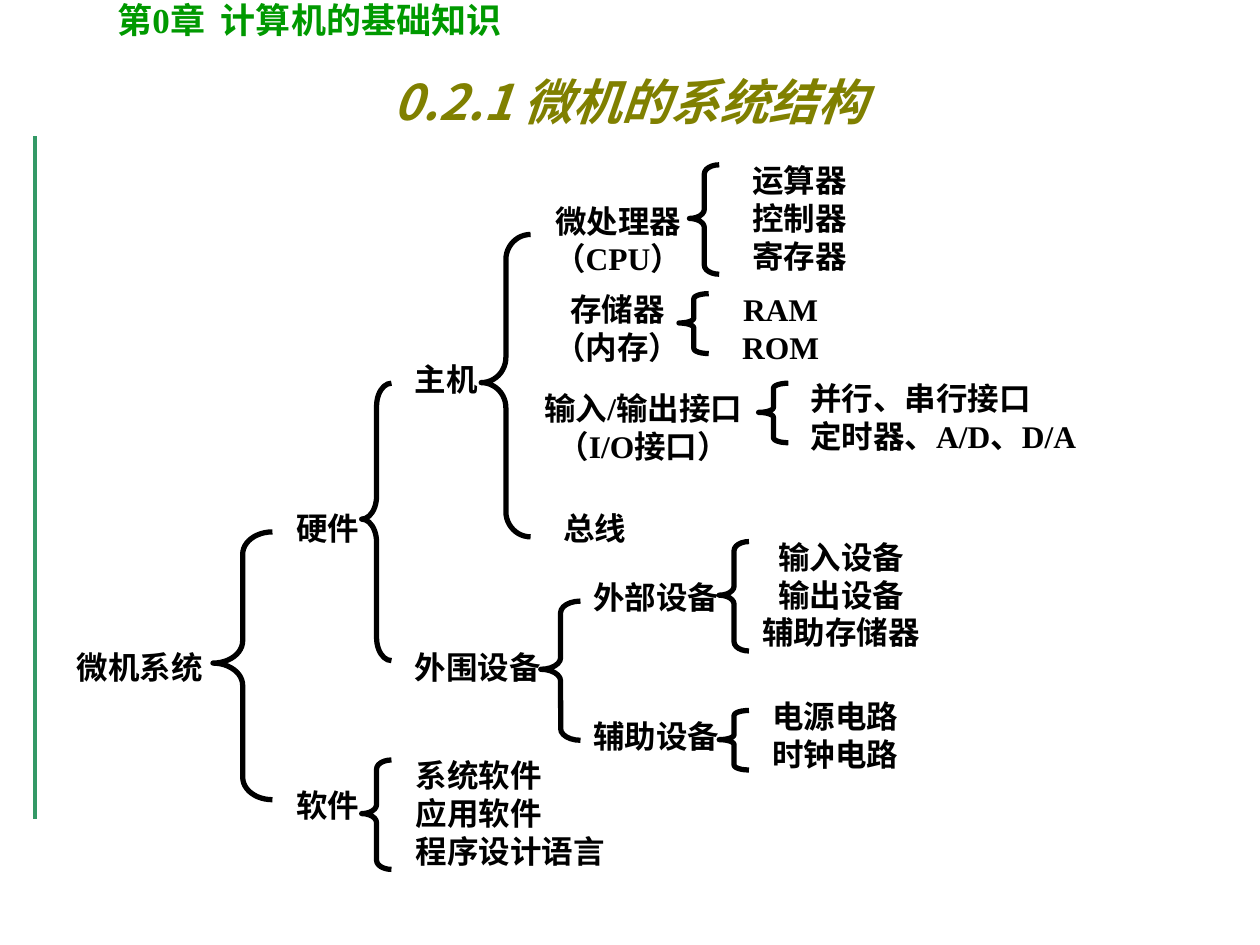
from pptx import Presentation
from pptx import util as u
from pptx.dml.color import RGBColor
from pptx.enum import shapes, text
from pptx.oxml.ns import qn
from lxml import etree


def rgb(value):
    return RGBColor.from_string(value)


def add_text(box, lines, align="c", size=18, color="000000",
             font="Times New Roman", italic=None, wrap=False):
    tb = s.shapes.add_textbox(*[u.Pt(v) for v in box])
    tf = tb.text_frame
    tf.word_wrap = wrap
    tf.vertical_anchor = text.MSO_ANCHOR.MIDDLE
    for i, line in enumerate(lines):
        p = tf.paragraphs[0] if i == 0 else tf.add_paragraph()
        p.alignment = text.PP_ALIGN.CENTER if align == "c" else text.PP_ALIGN.LEFT
        r = p.add_run()
        r.text = line
        r.font.name = font
        r.font.size = u.Pt(size)
        r.font.bold = True
        r.font.italic = italic
        r.font.color.rgb = rgb(color)


prs = Presentation()
prs.slide_width = u.Pt(720)
prs.slide_height = u.Pt(540)
s = prs.slides.add_slide(prs.slide_layouts[6])

rule = s.shapes.add_connector(
    shapes.MSO_CONNECTOR.STRAIGHT, u.Pt(20), u.Pt(78), u.Pt(20), u.Pt(468))
rule.line.color.rgb = rgb("339966")
rule.line.width = u.Pt(2.25)
etree.SubElement(rule._element.spPr, qn("a:effectLst"))

add_text((60, -5, 414, 32), ["第0章  计算机的基础知识"], "l", 20, "009900", wrap=True)
add_text((54, 32, 612, 51), ["0.2.1 微机的系统结构"], size=28, color="808000",
         font="Noto Sans CJK SC", italic=True, wrap=True)

braces = [
    (121.7, 304, 34, 153),
    (206.7, 219, 17, 158.5),
    (275, 134, 28.2, 172.8),
    (394, 94.2, 17, 62.5),
    (388, 167.8, 17, 34.2),
    (206.7, 434.3, 17, 62.5),
    (433.5, 219, 17, 34),
    (309, 343.5, 22.7, 79.5),
    (411, 309.5, 17, 62.5),
    (411, 406, 17, 34),
]
for left, top, width, height in braces:
    sp = s.shapes.add_shape(
        shapes.MSO_SHAPE.LEFT_BRACE, u.Pt(left), u.Pt(top), u.Pt(width), u.Pt(height))
    sp.adjustments[0] = height / width / 12
    sp.adjustments[1] = 0.49
    sp.shadow.inherit = False
    sp.fill.background()
    sp.line.color.rgb = rgb("000000")
    sp.line.width = u.Pt(3)

labels = [
    (36.7, 366.5, 86.4, "c", ["微机系统"]),
    (162, 445.7, 50.4, "c", ["软件"]),
    (162, 287.3, 50.4, "c", ["硬件"]),
    (229.7, 202.3, 50.4, "c", ["主机"]),
    (229.7, 366.5, 86.4, "c", ["外围设备"]),
    (305.3, 111.6, 95.8, "c", ["微处理器", "（CPU）"]),
    (422.6, 88.6, 68.4, "c", ["运算器", "控制器", "寄存器"]),
    (309.6, 162, 86.4, "c", ["存储器", "（内存）"]),
    (416.9, 162, 58.3, "c", ["RAM", "ROM"]),
    (299.5, 218.9, 136.1, "c", ["输入/输出接口", "（I/O接口）"]),
    (455.8, 213.1, 179.3, "l", ["并行、串行接口", "定时器、A/D、D/A"]),
    (314.6, 287.3, 50.4, "c", ["总线"]),
    (230.4, 428.4, 122.4, "l", ["系统软件", "应用软件", "程序设计语言"]),
    (331.9, 326.9, 86.4, "c", ["外部设备"]),
    (331.9, 406.1, 86.4, "c", ["辅助设备"]),
    (428.4, 303.8, 104.4, "c", ["输入设备", "输出设备", "辅助存储器"]),
    (434.2, 394.6, 86.4, "c", ["电源电路", "时钟电路"]),
]
for left, top, width, align, lines in labels:
    add_text((left, top, width, 7.2 + 21.6 * len(lines)), lines, align)

prs.save("out.pptx")
